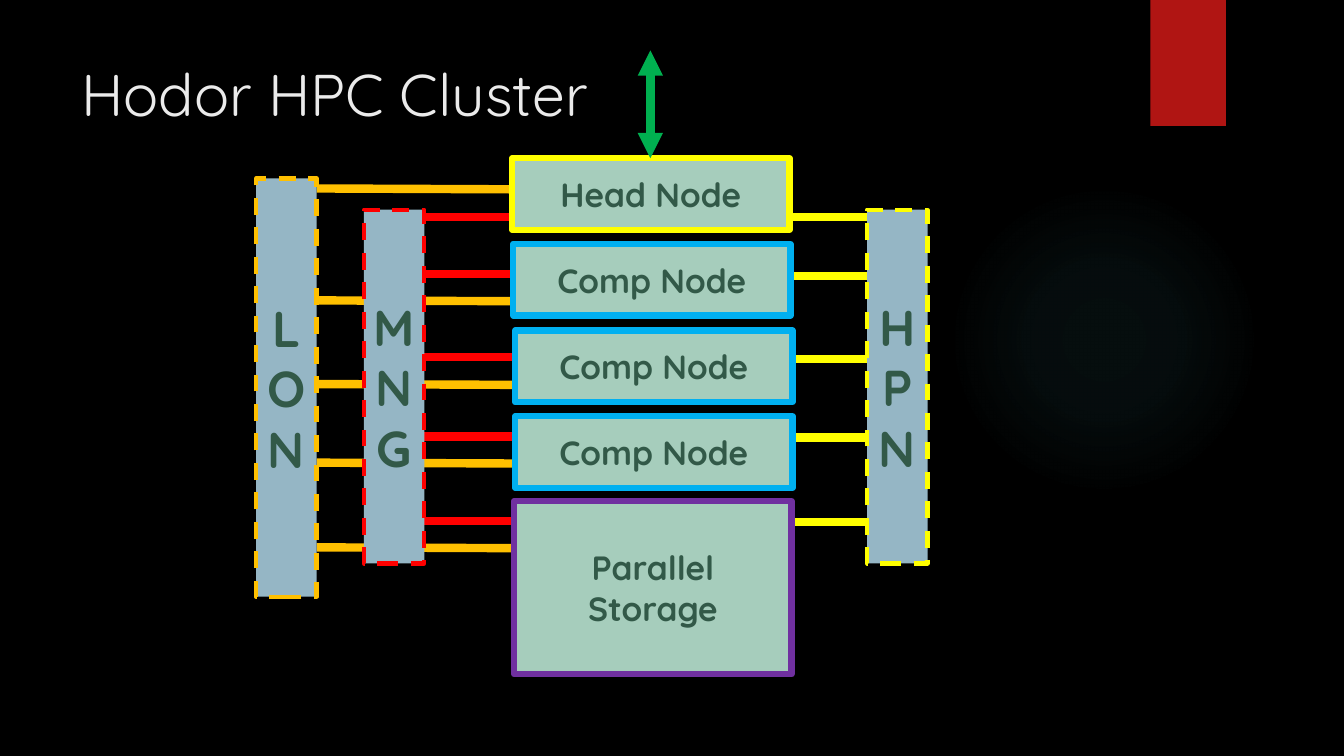
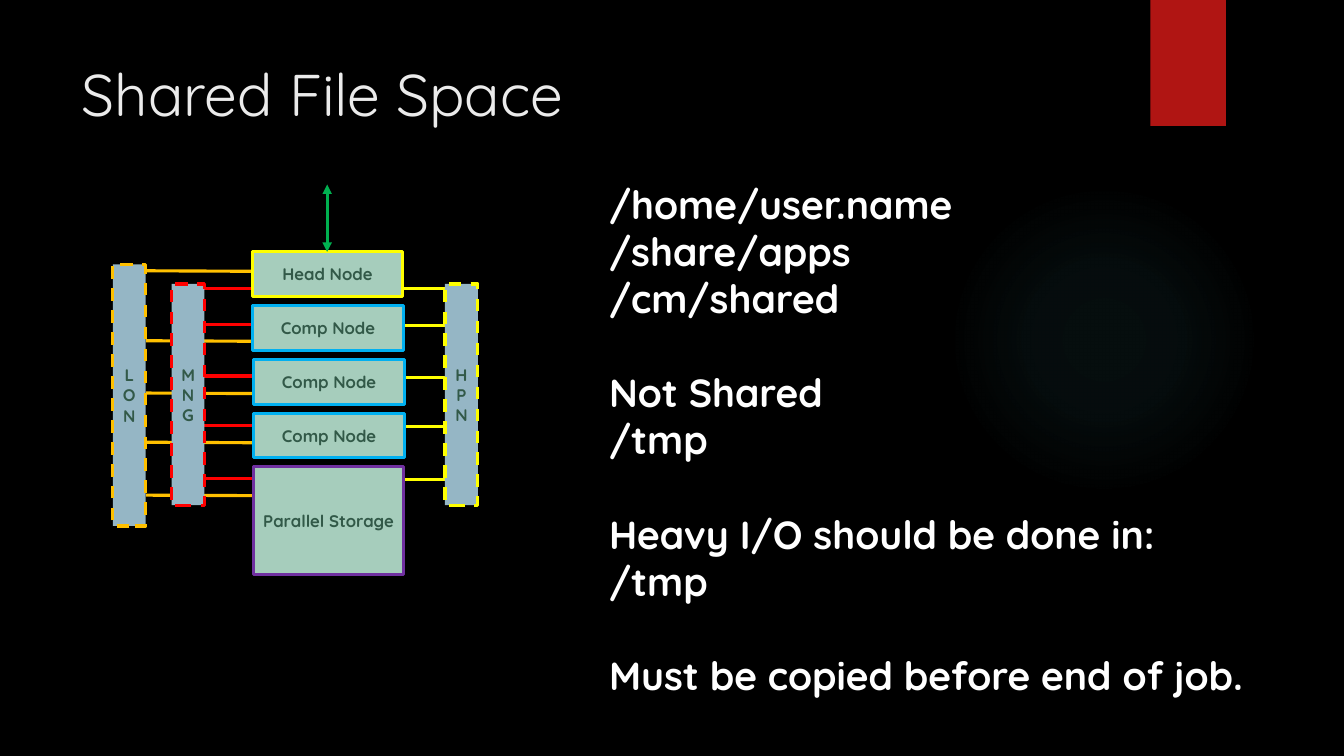
from collections import namedtuple

from lxml.etree import SubElement
from pptx import Presentation
from pptx.dml.color import RGBColor
from pptx.enum.dml import MSO_LINE_DASH_STYLE as Dash
from pptx.enum.shapes import MSO_CONNECTOR as Connector, MSO_SHAPE as Shape
from pptx.enum.text import MSO_ANCHOR as Anchor, MSO_AUTO_SIZE as AutoSize, PP_ALIGN as Align
from pptx.oxml import parse_xml
from pptx.oxml.ns import nsdecls, qn
from pptx.util import Emu, Pt

FONT = "Quicksand"
COLOURS = {
    "background": "000000", "glow": "50B9C1", "band": "B01513",
    "title": "EBEBEB", "body": "FFFFFF", "label": "325948",
    "node": "A6CDBC", "panel": "95B6C5",
    "yellow": "FFFF00", "red": "FF0000", "orange": "FFC000",
    "green": "00B050", "blue": "00B0F0", "purple": "7030A0",
}

# Diagram content, in px (100 to the inch)
Network = namedtuple("Network", "label left top height colour wire_start wire_end drop wires")
NETWORKS = [
    Network("LON", 254, 177, 415, "orange", 314, 551, 1, [187, 298, 381, 459, 543]),
    Network("MNG", 361, 208, 351, "red", 421, 509, 0, [215, 272, 354, 433, 517]),
    Network("HPN", 860, 208, 351, "yellow", 780, 860, 0, [215, 274, 356, 434, 518]),
]
PANEL_WIDTH = 60

Node = namedtuple("Node", "label left top height colour")
NODES = [
    Node("Head Node", 508, 157, 71, "yellow"),
    Node("Comp Node", 509, 242, 71, "blue"),
    Node("Comp Node", 511, 328, 71, "blue"),
    Node("Comp Node", 511, 413, 71, "blue"),
    Node("Parallel Storage", 510, 497, 172, "purple"),
]
NODE_WIDTH = 275

# Line widths and text sizes, in points
DiagramStyle = namedtuple("DiagramStyle", "wire node_line panel_line node_text panel_text")
LARGE = DiagramStyle(6, 4.5, 3, 24, 36)
SMALL = DiagramStyle(2.25, 2.25, 2.25, 12, 12)

BODY_SIZE = 28
BODY_GAP = 33.6
BODY_BLOCKS = [
    ["/home/user.name", "/share/apps", "/cm/shared"],
    ["Not Shared", "/tmp"],
    ["Heavy I/O should be done in:", "/tmp"],
    ["Must be copied before end of job."],
]


def px(length):
    return Emu(length * 9144)


def colour(name):
    return RGBColor.from_string(COLOURS[name])


def place(shape, left, top, width, height):
    shape.left, shape.top = px(left), px(top)
    shape.width, shape.height = px(width), px(height)


def add_run(paragraph, text, size, colour_name, bold=False):
    run = paragraph.add_run()
    run.text = text
    run.font.name = FONT
    run.font.size = Pt(size)
    run.font.bold = bold
    run.font.color.rgb = colour(colour_name)


def style_line(line, colour_name, width):
    line.color.rgb = colour(colour_name)
    line.width = Pt(width)


def add_plain_shape(shapes, kind, left, top, width, height):
    shape = shapes.add_shape(kind, px(left), px(top), px(width), px(height))
    shape.shadow.inherit = False
    shape.line.fill.background()
    return shape


def add_box(shapes, label, area, fill, outline, line_width, text_size):
    box = add_plain_shape(shapes, Shape.RECTANGLE, *area)
    box.fill.solid()
    box.fill.fore_color.rgb = colour(fill)
    style_line(box.line, outline, line_width)
    frame = box.text_frame
    frame.word_wrap = True
    frame.vertical_anchor = Anchor.MIDDLE
    paragraph = frame.paragraphs[0]
    paragraph.alignment = Align.CENTER
    add_run(paragraph, label, text_size, "label", bold=True)
    return box


def add_wire(shapes, start, end, colour_name, width, arrows=False):
    wire = shapes.add_connector(Connector.STRAIGHT, *map(px, start + end))
    style_line(wire.line, colour_name, width)
    properties = wire.element.spPr
    if arrows:
        for tag in ("a:headEnd", "a:tailEnd"):
            SubElement(properties.find(qn("a:ln")), qn(tag), type="triangle")
    SubElement(properties, qn("a:effectLst"))


def add_cluster(shapes, style):
    # Wires lie behind the panels and nodes
    for network in NETWORKS:
        for y in network.wires:
            add_wire(shapes, (network.wire_start, y), (network.wire_end, y + network.drop),
                     network.colour, style.wire)
    for network in NETWORKS:
        area = (network.left, network.top, PANEL_WIDTH, network.height)
        panel = add_box(shapes, network.label, area, "panel", network.colour,
                        style.panel_line, style.panel_text)
        panel.line.dash_style = Dash.DASH
    for node in NODES:
        area = (node.left, node.top, NODE_WIDTH, node.height)
        add_box(shapes, node.label, area, "node", node.colour,
                style.node_line, style.node_text)
    # Outside connection
    add_wire(shapes, (645, 157), (645, 50), "green", style.wire, arrows=True)


def glow_fill():
    stops = "".join(
        f'<a:gs pos="{position * 1000}"><a:srgbClr val="{COLOURS["glow"]}">'
        f'<a:alpha val="{alpha * 1000}"/></a:srgbClr></a:gs>'
        for position, alpha in ((0, 7), (36, 6), (69, 0)))
    return parse_xml(
        f'<a:gradFill {nsdecls("a")}><a:gsLst>{stops}</a:gsLst><a:path path="circle">'
        '<a:fillToRect l="50000" t="50000" r="50000" b="50000"/></a:path></a:gradFill>')


def decorate_master(master, slide):
    background = master.background.fill
    background.solid()
    background.fore_color.rgb = colour("background")

    glow = add_plain_shape(slide.shapes, Shape.OVAL, 941, 183, 308, 308)
    glow.fill.background()
    properties = glow.element.spPr
    properties.replace(properties.find(qn("a:noFill")), glow_fill())

    band = add_plain_shape(slide.shapes, Shape.RECTANGLE, 1141, 0, 75, 125)
    band.fill.solid()
    band.fill.fore_color.rgb = colour("band")

    # Move both to the master, behind its placeholders, with ids of their own
    for index, shape in enumerate((glow, band)):
        shape.element.nvSpPr.cNvPr.set("id", str(100 + index))
        master.shapes.element.insert(2 + index, shape.element)


def add_titled_slide(presentation, layout_index, title_text):
    slide = presentation.slides.add_slide(presentation.slide_layouts[layout_index])
    title = slide.shapes.title
    place(title, 71, 50, 1029, 84)
    frame = title.text_frame
    frame.auto_size = AutoSize.NONE
    frame.vertical_anchor = Anchor.MIDDLE
    paragraph = frame.paragraphs[0]
    paragraph.alignment = Align.LEFT
    add_run(paragraph, title_text, 42, "title")
    return slide


def fill_body(body):
    place(body, 594, 174, 674, 528)
    frame = body.text_frame
    frame.auto_size = AutoSize.NONE
    frame.vertical_anchor = Anchor.TOP
    paragraph = None
    for block in BODY_BLOCKS:
        for index, text in enumerate(block):
            starts_later_block = paragraph is not None and index == 0
            paragraph = frame.paragraphs[0] if paragraph is None else frame.add_paragraph()
            paragraph.space_before = Pt(BODY_GAP if starts_later_block else 0)
            properties = paragraph._p.get_or_add_pPr()
            properties.set("marL", "0")
            properties.set("indent", "0")
            SubElement(properties, qn("a:buNone"))
            add_run(paragraph, text, BODY_SIZE, "body", bold=True)


def main():
    presentation = Presentation()
    presentation.slide_width, presentation.slide_height = px(1333), px(750)

    # Slide 1: the cluster
    slide = add_titled_slide(presentation, 5, "Hodor HPC Cluster")
    decorate_master(presentation.slide_master, slide)
    add_cluster(slide.shapes, LARGE)

    # Slide 2: the cluster, scaled down as a group, and the file space
    slide = add_titled_slide(presentation, 1, "Shared File Space")
    group = slide.shapes.add_group_shape()
    add_cluster(group.shapes, SMALL)
    place(group, 112, 183, 362, 387)
    fill_body(slide.placeholders[1])

    presentation.save("out.pptx")


if __name__ == "__main__":
    main()
